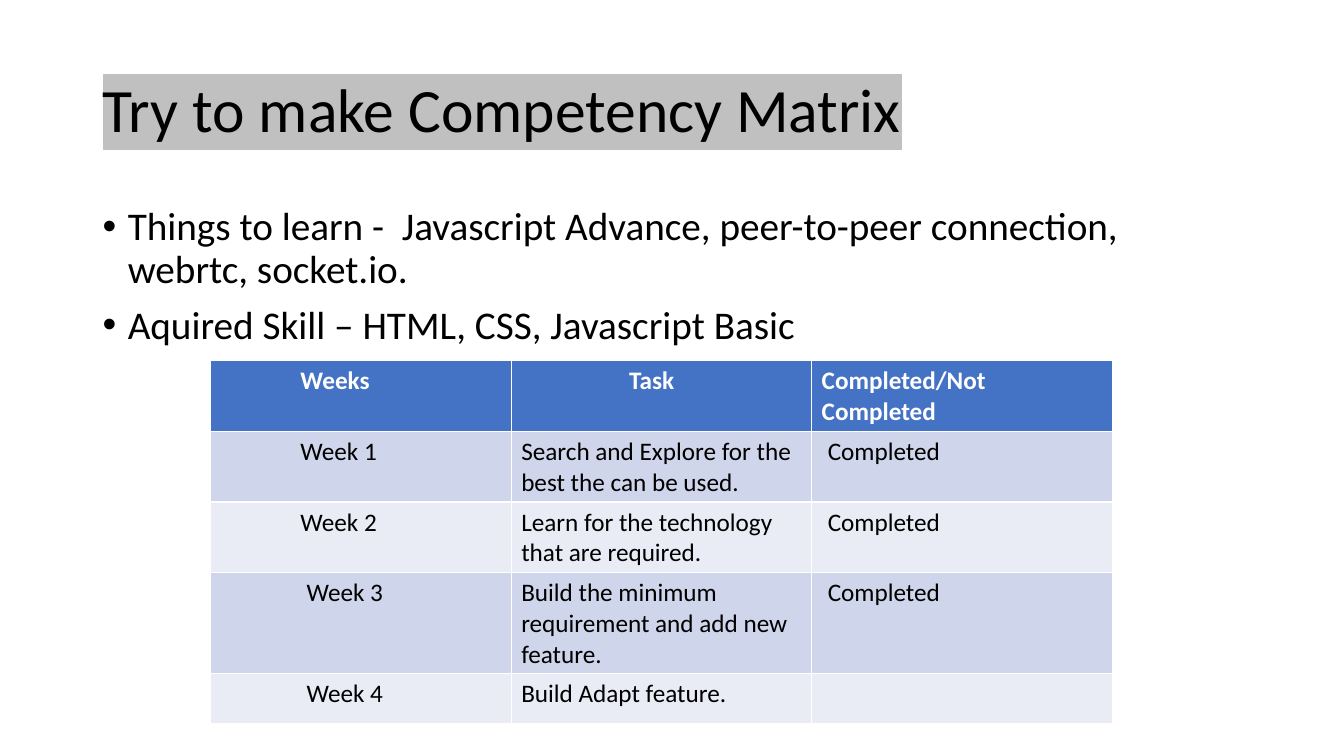
from lxml.etree import SubElement
from pptx import Presentation
from pptx.dml.color import RGBColor
from pptx.enum.text import MSO_ANCHOR, MSO_AUTO_SIZE, PP_ALIGN
from pptx.oxml.ns import qn
from pptx.util import Inches, Pt

theme = {
    "font": "Calibri",
    "title": 44, "body": 28, "cell": 18,
    "ink": "000000", "paper": "FFFFFF", "mark": "C0C0C0",
    "head": "4472C4", "bands": ("E9EBF5", "CFD5EA"),
}


def add_run(para, text, size, color, bold=False):
    run = para.add_run()
    run.text = text
    run.font.size = Pt(theme[size])
    run.font.bold = bold
    run.font.color.rgb = RGBColor.from_string(theme[color])
    run.font.name = theme["font"]
    return run


deck = Presentation()
deck.slide_width, deck.slide_height = Inches(13.33), Inches(7.5)
wide, high = deck.slide_width, deck.slide_height
slide = deck.slides.add_slide(deck.slide_layouts[5])
left, span = int(wide * 0.069), int(wide * 0.863)

# Title with a marked background
title = slide.shapes.title
title.left, title.top = left, int(high * 0.053)
title.width, title.height = span, int(high * 0.193)
frame = title.text_frame
frame.auto_size = MSO_AUTO_SIZE.NONE
frame.vertical_anchor = MSO_ANCHOR.MIDDLE
para = frame.paragraphs[0]
para.alignment = PP_ALIGN.LEFT
para.line_spacing = 0.9
run = add_run(para, "Try to make Competency Matrix", "title", "ink")
mark = SubElement(run.font._element, qn("a:highlight"))
SubElement(mark, qn("a:srgbClr")).set("val", theme["mark"])
run.font._element.find(qn("a:solidFill")).addnext(mark)

# Bullet list
points = (
    "Things to learn -  Javascript Advance, peer-to-peer connection, "
    "webrtc, socket.io.",
    "Aquired Skill – HTML, CSS, Javascript Basic",
)
body = slide.shapes.add_textbox(left, int(high * 0.267), span, int(high * 0.635))
frame = body.text_frame
frame.word_wrap = True
for i, point in enumerate(points):
    para = frame.add_paragraph() if i else frame.paragraphs[0]
    para.line_spacing = 0.9
    para.space_before = Pt(10)
    props = para._p.get_or_add_pPr()
    props.set("marL", str(Inches(0.25)))
    props.set("indent", str(Inches(-0.25)))
    SubElement(props, qn("a:buFont")).set("typeface", "Arial")
    SubElement(props, qn("a:buChar")).set("char", "•")
    add_run(para, point, "body", "ink")

# Weekly plan: each cell is its text and its extra indent in inches
rows = (
    (("Weeks", 0.79), ("Task", 1.07), ("Completed/Not Completed", 0)),
    (("Week 1", 0.79), ("Search and Explore for the best the can be used.", 0),
     ("Completed", 0.06)),
    (("Week 2", 0.79), ("Learn for the technology that are required.", 0),
     ("Completed", 0.06)),
    (("Week 3", 0.85), ("Build the minimum requirement and add new feature.", 0),
     ("Completed", 0.06)),
    (("Week 4", 0.85), ("Build Adapt feature.", 0), ("", 0)),
)
step, line = Inches(2.98), Inches(0.5)
grid = slide.shapes.add_table(
    len(rows), 3, Inches(2.09), Inches(3.58), step * 3, line * len(rows)
).table
for r, row in enumerate(rows):
    for c, (text, inset) in enumerate(row):
        cell = grid.cell(r, c)
        fill = theme["bands"][r % 2] if r else theme["head"]
        cell.fill.solid()
        cell.fill.fore_color.rgb = RGBColor.from_string(fill)
        cell.margin_left = Inches(0.1 + inset)
        if text:
            add_run(cell.text_frame.paragraphs[0], text, "cell",
                    "ink" if r else "paper", bold=r == 0)

deck.save("out.pptx")
